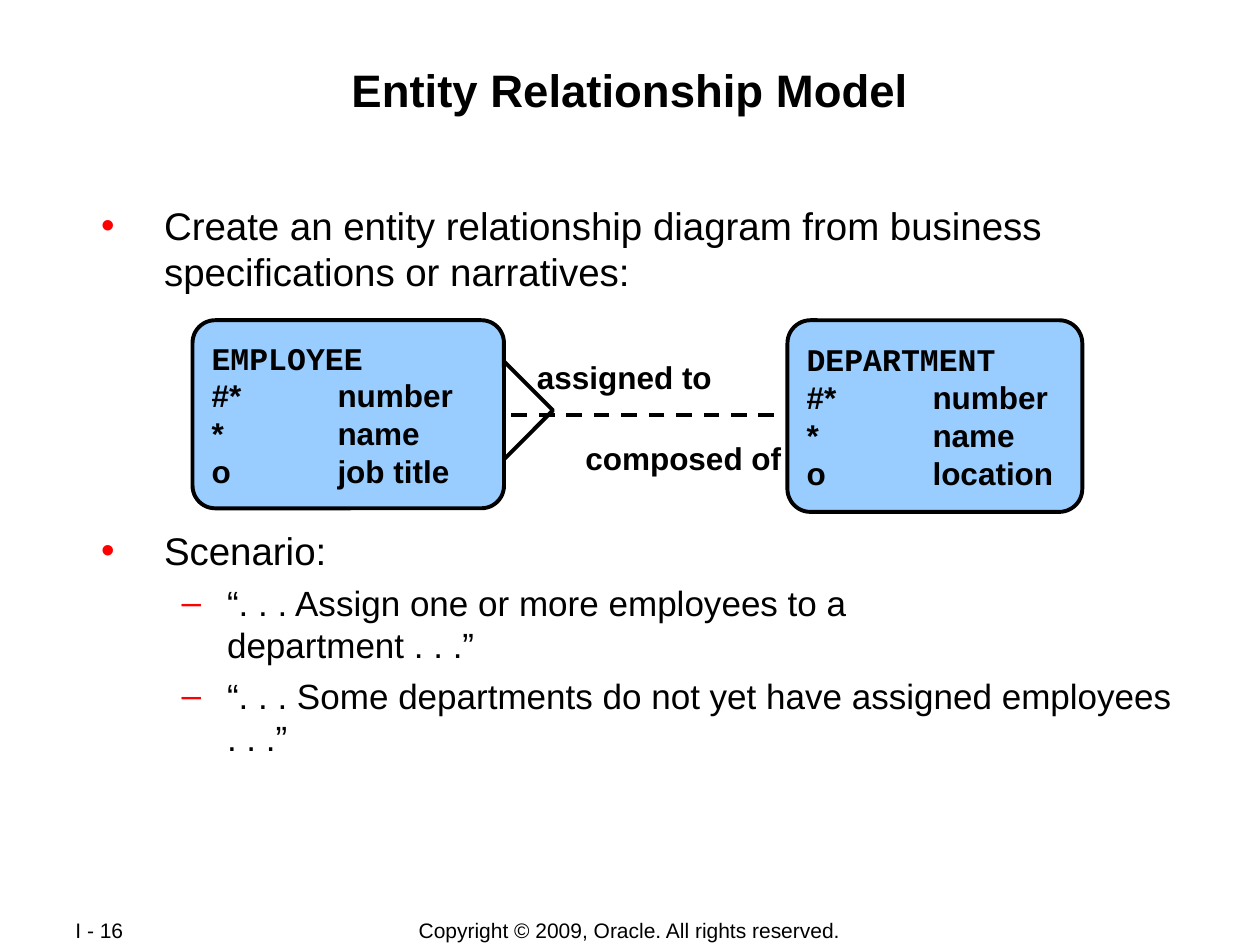
from dataclasses import dataclass

from lxml import etree
from pptx import Presentation
from pptx.dml.color import RGBColor
from pptx.enum.dml import MSO_LINE
from pptx.enum.shapes import MSO_CONNECTOR as Connector, MSO_SHAPE as Shape
from pptx.enum.text import MSO_ANCHOR as Anchor, MSO_AUTO_SIZE as AutoSize, PP_ALIGN as Align
from pptx.oxml.ns import qn
from pptx.util import Pt


@dataclass(frozen=True)
class Theme:
    sans: str = "Arial"
    mono: str = "Courier New"
    ink: RGBColor = RGBColor(0, 0, 0)
    entity: RGBColor = RGBColor(0x99, 0xCC, 0xFF)
    bullet: str = "FF0000"
    title: int = 26
    item: int = 22
    subitem: int = 20
    label: int = 18
    footer: int = 12
    stroke: float = 2.25


THEME = Theme()

TITLE = "Entity Relationship Model"
# level, text, space before (the diagram sits in the gap above the scenario)
ITEMS = [
    (0, "Create an entity relationship diagram from business specifications or narratives:", 0),
    (0, "Scenario:", 133),
    (1, "“. . . Assign one or more employees to a\vdepartment . . .”", 5),
    (1, "“. . . Some departments do not yet have assigned employees\v. . .”", 5),
]
# bullet, left margin, hanging indent, type size
LEVELS = [("•", 45, 36, THEME.item), ("–", 81, 26, THEME.subitem)]

# name, attributes, (left, top, width, height)
ENTITIES = [
    ("EMPLOYEE", [("#*", "number"), ("*", "name"), ("o", "job title")], (110, 183, 178, 107.5)),
    ("DEPARTMENT", [("#*", "number"), ("*", "name"), ("o", "location")], (450, 183, 168.5, 109.5)),
]
# text, bounds, type size, bold, alignment, anchor, wrap
LABELS = [
    ("assigned to", (299.5, 201, 114.5, 29), THEME.label, True, Align.CENTER, Anchor.TOP, False),
    ("composed of", (295, 247.5, 191, 29), THEME.label, True, Align.CENTER, Anchor.TOP, True),
    ("Copyright © 2009, Oracle. All rights reserved.", (198, 524, 323.5, 15),
     THEME.footer, False, Align.CENTER, Anchor.MIDDLE, False),
    ("I - 16", (36, 524, 76.5, 14.5), THEME.footer, False, Align.LEFT, Anchor.MIDDLE, False),
]
RELATION_Y = 237
RELATION_ENDS = (458, 267)
CROWS_FOOT = [(288, 206.5), (316, 234.5), (280, 270.5)]
ATTRIBUTE_TAB = 72


def points(values):
    return [Pt(value) for value in values]


def set_font(para, size, bold=False, name=THEME.sans):
    font = para.font
    font.name, font.size, font.bold = name, Pt(size), bold
    font.color.rgb = THEME.ink


def set_stroke(shape):
    shape.line.color.rgb = THEME.ink
    shape.line.width = Pt(THEME.stroke)


def add_bullet(para, char):
    props = para._p.get_or_add_pPr()
    color = etree.SubElement(props, qn("a:buClr"))
    etree.SubElement(color, qn("a:srgbClr"), val=THEME.bullet)
    etree.SubElement(props, qn("a:buFont"), typeface=THEME.sans)
    etree.SubElement(props, qn("a:buChar"), char=char)


def add_tab(para, position):
    tabs = etree.SubElement(para._p.get_or_add_pPr(), qn("a:tabLst"))
    etree.SubElement(tabs, qn("a:tab"), pos=str(Pt(position)), algn="l")


def prepare_placeholder(holder, bounds):
    holder.left, holder.top, holder.width, holder.height = points(bounds)
    frame = holder.text_frame
    frame.margin_left = frame.margin_right = Pt(0.75)
    frame.margin_top = frame.margin_bottom = Pt(0.75)
    frame.vertical_anchor = Anchor.TOP
    frame.auto_size = AutoSize.NONE
    frame.word_wrap = True
    return frame


def next_paragraph(frame, index):
    return frame.add_paragraph() if index else frame.paragraphs[0]


def add_title(page):
    frame = prepare_placeholder(page.shapes.title, (48, 34.5, 624, 69))
    frame.text = TITLE
    para = frame.paragraphs[0]
    para.alignment = Align.CENTER
    para.space_before = Pt(0)
    set_font(para, THEME.title, bold=True)


def add_items(page):
    frame = prepare_placeholder(page.placeholders[1], (48, 114.5, 624, 320.5))
    for index, (level, text, gap) in enumerate(ITEMS):
        char, margin, hanging, size = LEVELS[level]
        para = next_paragraph(frame, index)
        para.text = text
        para.level = level
        props = para._p.get_or_add_pPr()
        props.set("marL", str(Pt(margin)))
        props.set("indent", str(-Pt(hanging)))
        add_bullet(para, char)
        para.space_before = Pt(gap)
        set_font(para, size)


def add_relation(page):
    """Draw the dashed link and the crow's foot at its many end."""
    start, end = RELATION_ENDS
    link = page.shapes.add_connector(
        Connector.STRAIGHT, *points((start, RELATION_Y, end, RELATION_Y)))
    set_stroke(link)
    link.line.dash_style = MSO_LINE.DASH
    etree.SubElement(link._element.spPr, qn("a:effectLst"))

    first, *rest = [points(corner) for corner in CROWS_FOOT]
    builder = page.shapes.build_freeform(*first)
    builder.add_line_segments(rest, close=False)
    foot = builder.convert_to_shape()
    foot.shadow.inherit = False
    foot.fill.background()
    set_stroke(foot)


def add_entity(page, name, attributes, bounds):
    box = page.shapes.add_shape(Shape.ROUNDED_RECTANGLE, *points(bounds))
    box.adjustments[0] = 0.12
    box.shadow.inherit = False
    box.fill.solid()
    box.fill.fore_color.rgb = THEME.entity
    set_stroke(box)
    frame = box.text_frame
    frame.word_wrap = False
    frame.vertical_anchor = Anchor.MIDDLE
    lines = [name] + ["\t".join(attribute) for attribute in attributes]
    for index, line in enumerate(lines):
        para = next_paragraph(frame, index)
        para.text = line
        para.alignment = Align.LEFT
        add_tab(para, ATTRIBUTE_TAB)
        set_font(para, THEME.label, bold=True, name=THEME.sans if index else THEME.mono)


def add_label(page, text, bounds, size, bold, align, anchor, wrap):
    frame = page.shapes.add_textbox(*points(bounds)).text_frame
    frame.word_wrap = wrap
    frame.vertical_anchor = anchor
    frame.text = text
    para = frame.paragraphs[0]
    para.alignment = align
    set_font(para, size, bold)


def main():
    deck = Presentation()
    deck.slide_width, deck.slide_height = Pt(720), Pt(540)
    page = deck.slides.add_slide(deck.slide_layouts[1])
    add_title(page)
    add_items(page)
    add_relation(page)
    for entity in ENTITIES:
        add_entity(page, *entity)
    for label in LABELS:
        add_label(page, *label)
    deck.save("out.pptx")


if __name__ == "__main__":
    main()
